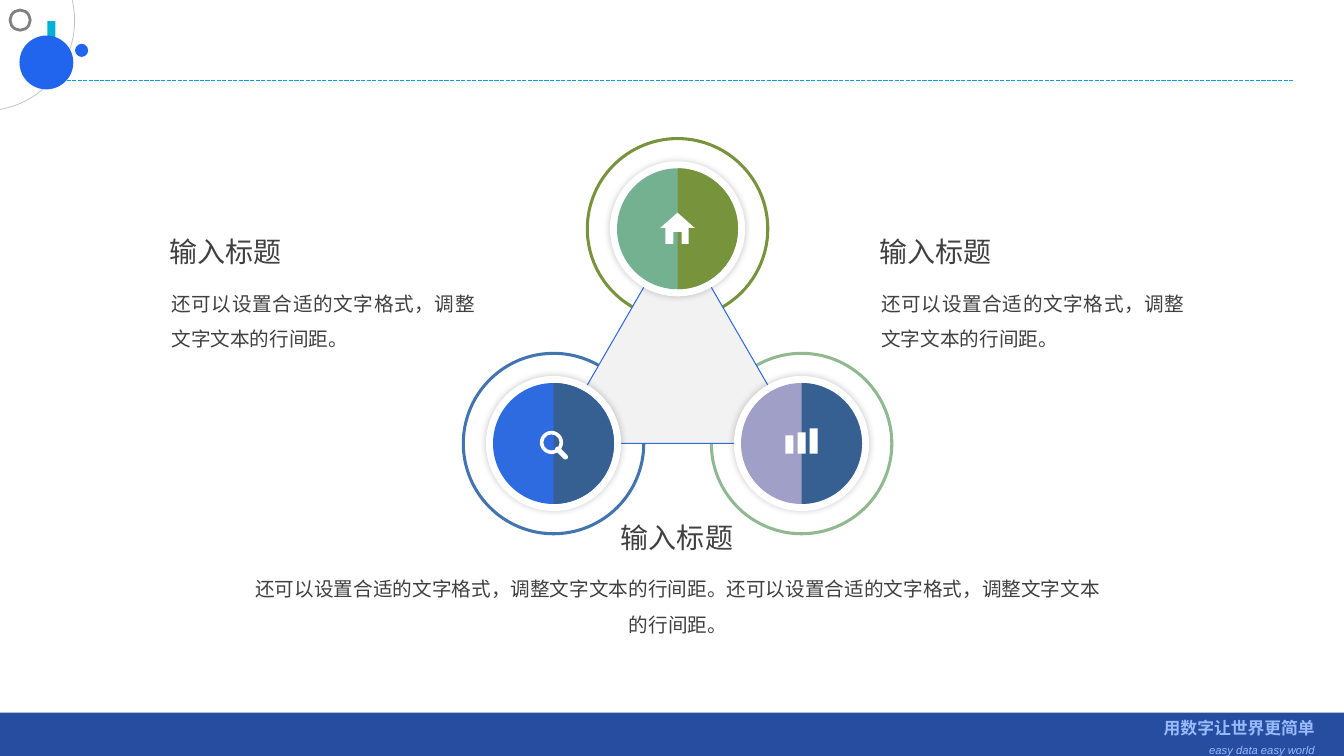
import math

from lxml import etree
from pptx import Presentation
from pptx.dml import color
from pptx.enum import dml, shapes as kinds, text
from pptx.oxml import ns
from pptx.util import Inches, Pt

SHAPE = kinds.MSO_SHAPE
ALIGN = text.PP_ALIGN
CJK_FONT = "Noto Sans CJK SC"
WHITE, BLUE, DARK_BLUE, DARK_TEXT = "FFFFFF", "2164ED", "376092", "404040"
DEGREE = 0.6  # one degree in adjustment units

HEADING = "输入标题"
SENTENCE = "还可以设置合适的文字格式，调整文字文本的行间距。"

# Centre x, centre y, ring, left half, right half
NODES = [
    (6.72, 2.27, "77933C", "74B191", "77933C"),
    (7.95, 4.4, "91B991", "9F9FC7", DARK_BLUE),
    (5.49, 4.4, "4274AF", "2E6AE0", DARK_BLUE),
]


def rgb(value):
    return color.RGBColor.from_string(value)


def paint(shape, fill=None, line=None, width=1):
    shape.shadow.inherit = False
    if fill:
        shape.fill.solid()
        shape.fill.fore_color.rgb = rgb(fill)
    else:
        shape.fill.background()
    if line:
        shape.line.color.rgb = rgb(line)
        shape.line.width = Pt(width)
    else:
        shape.line.fill.background()
    return shape


def add_preset(slide, kind, left, top, width, height, fill=None, line=None,
               line_width=1, adjustments=()):
    shape = slide.shapes.add_shape(
        kind, Inches(left), Inches(top), Inches(width), Inches(height))
    for index, value in enumerate(adjustments):
        shape.adjustments[index] = value
    return paint(shape, fill, line, line_width)


def add_round(slide, x, y, diameter, fill=None, kind=SHAPE.OVAL, **options):
    return add_preset(slide, kind, x - diameter / 2, y - diameter / 2,
                      diameter, diameter, fill, **options)


def add_polygon(slide, points, fill, line=None, width=1):
    corners = [(Inches(x), Inches(y)) for x, y in points]
    builder = slide.shapes.build_freeform(*corners[0])
    builder.add_line_segments(corners[1:], close=True)
    return paint(builder.convert_to_shape(), fill, line, width)


def add_soft_shadow(shape):
    effects = shape._element.spPr.find(ns.qn("a:effectLst"))
    shadow = etree.SubElement(effects, ns.qn("a:outerShdw"),
                              blurRad=str(Pt(5)), dist="0", dir="0",
                              algn="ctr", rotWithShape="0")
    black = etree.SubElement(shadow, ns.qn("a:srgbClr"), val="000000")
    etree.SubElement(black, ns.qn("a:alpha"), val="20000")


def add_run(paragraph, words, size, hue, font=CJK_FONT, bold=False, italic=False):
    run = paragraph.add_run()
    run.text = words
    run.font.size, run.font.name = Pt(size), font
    run.font.bold, run.font.italic = bold, italic
    run.font.color.rgb = rgb(hue)
    if font == CJK_FONT:
        properties = run._r.get_or_add_rPr()
        etree.SubElement(properties, ns.qn("a:ea"), typeface=font)


def add_text_box(slide, left, top, width, height, inset=True):
    box = slide.shapes.add_textbox(
        Inches(left), Inches(top), Inches(width), Inches(height))
    frame = box.text_frame
    frame.word_wrap = True
    frame.auto_size = text.MSO_AUTO_SIZE.SHAPE_TO_FIT_TEXT
    if not inset:
        frame.margin_left = frame.margin_right = Inches(0)
        frame.margin_top = frame.margin_bottom = Inches(0)
    return frame


def add_caption(slide, heading_left, body_left, top, body_width, body, align):
    heading = add_text_box(slide, heading_left, top, 1.97, 0.34, inset=False)
    heading.paragraphs[0].alignment = align
    add_run(heading.paragraphs[0], HEADING, 20, DARK_TEXT)
    frame = add_text_box(slide, body_left, top + 0.45, body_width, 0.67, inset=False)
    paragraph = frame.paragraphs[0]
    paragraph.alignment = align
    paragraph.line_spacing = 1.5
    add_run(paragraph, body, 14, DARK_TEXT)


def add_header(slide):
    add_preset(slide, SHAPE.RECTANGLE, 0.47, 0.21, 0.08, 0.59, "00B1D4")
    rule = slide.shapes.add_connector(
        kinds.MSO_CONNECTOR.STRAIGHT,
        Inches(0.55), Inches(0.8), Inches(12.83), Inches(0.8))
    rule.line.color.rgb = rgb("009EE7")
    rule.line.width = Pt(1)
    rule.line.dash_style = dml.MSO_LINE.SQUARE_DOT
    etree.SubElement(rule._element.spPr, ns.qn("a:effectLst"))
    add_preset(slide, SHAPE.ARC, -1.05, -0.69, 1.79, 1.79, line="BFBFBF",
               line_width=0.5, adjustments=(207.72 * DEGREE, 90 * DEGREE))
    add_round(slide, 0.46, 0.62, 0.52, BLUE, line=BLUE)
    add_round(slide, 0.81, 0.5, 0.13, BLUE)
    add_round(slide, 0.2, 0.2, 0.2, line="808080", line_width=2)


def add_footer(slide):
    add_preset(slide, SHAPE.RECTANGLE, 0, 7.07, 13.33, 0.44, "274DA1")
    frame = add_text_box(slide, 11.36, 7.07, 1.78, 0.44)
    slogan, translation = frame.paragraphs[0], frame.add_paragraph()
    slogan.alignment = translation.alignment = ALIGN.RIGHT
    translation.space_before = Pt(4)
    add_run(slogan, "用数字让世界更简单", 12, "98BAFF", "Arial", bold=True)
    add_run(translation, "easy data easy world", 8, "98BAFF", "Arial", italic=True)


def add_disc(slide, x, y, left_half, right_half):
    add_soft_shadow(add_round(slide, x, y, 1.34, WHITE))
    add_round(slide, x, y, 1.2, left_half)
    angles = [math.radians(degree) for degree in range(-90, 91, 3)]
    add_polygon(slide, [(x + 0.6 * math.cos(angle), y + 0.6 * math.sin(angle))
                        for angle in angles], right_half)


def add_icons(slide):
    # Magnifier
    add_round(slide, 5.47, 4.39, 0.23, WHITE, SHAPE.DONUT, adjustments=(0.15,))
    handle = add_preset(slide, SHAPE.ROUNDED_RECTANGLE, 5.49, 4.47, 0.16, 0.05,
                        WHITE, adjustments=(0.5,))
    handle.rotation = 45
    # Bars
    for index, height in enumerate((0.18, 0.21, 0.25)):
        add_preset(slide, SHAPE.RECTANGLE, 7.79 + 0.12 * index, 4.5 - height,
                   0.08, height, WHITE)
    # House
    add_polygon(slide, [(6.83, 2.25), (6.83, 2.42), (6.76, 2.42), (6.76, 2.3),
                        (6.68, 2.3), (6.68, 2.42), (6.6, 2.42), (6.6, 2.25)], WHITE)
    add_polygon(slide, [(6.72, 2.11), (6.89, 2.26), (6.55, 2.26)], WHITE)


def add_diagram(slide):
    for x, y, ring, _, _ in NODES:
        add_round(slide, x, y, 1.82, ring, SHAPE.DONUT, adjustments=(0.0165,))
    add_polygon(slide, [node[:2] for node in NODES], "F2F2F2", "2E6AE0", 0.75)
    for x, y, _, left_half, right_half in NODES:
        add_disc(slide, x, y, left_half, right_half)
    add_icons(slide)


def main():
    presentation = Presentation()
    presentation.slide_width = Inches(13.33)
    presentation.slide_height = Inches(7.5)
    slide = presentation.slides.add_slide(presentation.slide_layouts[6])
    add_header(slide)
    add_footer(slide)
    add_diagram(slide)
    # Captions: left, right, below
    for left in (1.68, 8.72):
        add_caption(slide, left, left + 0.02, 2.33, 3.01, SENTENCE, ALIGN.JUSTIFY)
    add_caption(slide, 5.73, 2.47, 5.16, 8.51, SENTENCE * 2, ALIGN.CENTER)
    presentation.save("out.pptx")


if __name__ == "__main__":
    main()
